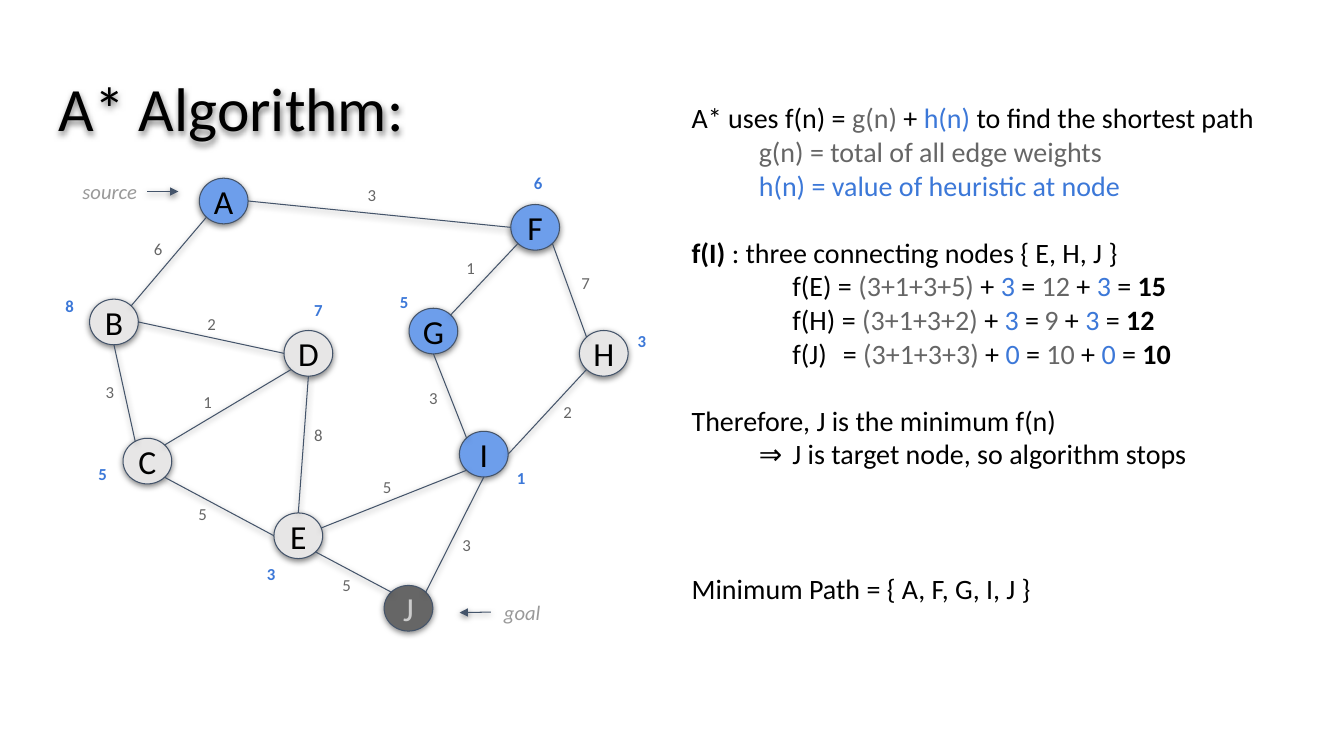
from math import cos, radians, sin

from lxml.etree import SubElement
from pptx import Presentation
from pptx.dml.color import RGBColor
from pptx.enum.shapes import MSO_CONNECTOR as Connector, MSO_SHAPE as Preset
from pptx.enum.text import MSO_ANCHOR as Anchor, MSO_AUTO_SIZE as AutoSize, PP_ALIGN as Align
from pptx.oxml.ns import qn
from pptx.util import Pt

BLACK = RGBColor(0x00, 0x00, 0x00)
GRAY = RGBColor(0x66, 0x66, 0x66)
MID_GRAY = RGBColor(0x99, 0x99, 0x99)
LIGHT_GRAY = RGBColor(0xCC, 0xCC, 0xCC)
BLUE = RGBColor(0x3C, 0x78, 0xD8)
VISITED = RGBColor(0x6D, 0x9E, 0xEB)
UNVISITED = RGBColor(0xE7, 0xE6, 0xE6)
SLATE = RGBColor(0x44, 0x54, 0x6A)
FONT = "Calibri"
NODE_WIDTH, NODE_HEIGHT = 34.8, 32.6

deck = Presentation()
deck.slide_width, deck.slide_height = Pt(960), Pt(540)
page = deck.slides.add_slide(deck.slide_layouts[1])


def add_shadow(shape):
    effects = SubElement(shape._element.spPr, qn("a:effectLst"))
    shadow = SubElement(effects, qn("a:outerShdw"), blurRad=str(Pt(4.5)),
                        dist=str(Pt(1.5)), dir="5400000", algn="ctr", rotWithShape="0")
    color = SubElement(shadow, qn("a:srgbClr"), val=str(BLACK))
    SubElement(color, qn("a:alpha"), val="50000")


def add_label(text, x, y, width, size, color, bold=False, italic=False):
    height = 22
    box = page.shapes.add_textbox(Pt(x - width / 2), Pt(y - height / 2), Pt(width), Pt(height))
    frame = box.text_frame
    frame.word_wrap = True
    frame.vertical_anchor = Anchor.MIDDLE
    frame.margin_left = frame.margin_right = frame.margin_top = frame.margin_bottom = 0
    para = frame.paragraphs[0]
    para.text = text
    para.alignment = Align.CENTER
    font = para.font
    font.name, font.size, font.bold, font.italic = FONT, Pt(size), bold, italic
    font.color.rgb = color


title = page.shapes.title
body = page.placeholders[1]
for holder, left, top, width, height in [(title, 32.4, 46.8, 894, 60.5), (body, 484.6, 62.6, 428, 412.6)]:
    holder.left, holder.top, holder.width, holder.height = Pt(left), Pt(top), Pt(width), Pt(height)
    frame = holder.text_frame
    frame.margin_left = frame.margin_right = frame.margin_top = frame.margin_bottom = Pt(9.4)
    frame.vertical_anchor = Anchor.TOP
    frame.auto_size = AutoSize.NONE
    frame.word_wrap = True

para = title.text_frame.paragraphs[0]
para.text = "A* Algorithm:"
para.alignment = Align.LEFT
para.line_spacing = 0.9
para.font.name, para.font.size = FONT, Pt(44)
para.font.color.rgb = BLACK
add_shadow(title)

# Each row: first-line indent, space before, tab stops, spans
rows = [
    (0, 0, [], [("A* uses f(n) = ", BLACK), ("g(n)", GRAY), (" + ", BLACK),
                ("h(n) ", BLUE), ("to find the shortest path", BLACK)]),
    (48, 0, [], [("g(n) = total of all edge weights", GRAY)]),
    (48, 0, [], [("h(n) = value of heuristic at node", BLUE)]),
    (0, 24, [], [("f(I)", BLACK, True), (" : three connecting nodes { E, H, J }", BLACK)]),
]
for name, tabs, weights, heuristic, cost, total in [
    ("f(E) = ", [], "(3+1+3+5)", "3", " 12", "15"),
    ("f(H) = ", [262], "(3+1+3+2)", "3", "\t9", "12"),
    ("f(J)\t= ", [105], "(3+1+3+3)", "0", " 10", "10"),
]:
    rows.append((72, 0, tabs, [
        (name, BLACK), (weights, GRAY), (" + ", BLACK), (heuristic, BLUE), (" =", BLACK),
        (cost, GRAY), (" + ", BLACK), (heuristic, BLUE), (" = ", BLACK), (total, BLACK, True)]))
rows += [
    (0, 24, [], [("Therefore, J is the minimum f(n)", BLACK)]),
    (48, 0, [74], [("⇒\tJ is target node, so algorithm stops", BLACK)]),
    (0, 72, [], [("Minimum Path = { A, F, G, I, J }", BLACK)]),
]
for number, (indent, gap, tabs, spans) in enumerate(rows):
    frame = body.text_frame
    para = frame.add_paragraph() if number else frame.paragraphs[0]
    para.space_before = Pt(gap)
    para.font.name, para.font.size = FONT, Pt(20)
    properties = para._p.get_or_add_pPr()
    properties.set("marL", "0")
    properties.set("indent", str(Pt(indent)))
    bullet = properties.makeelement(qn("a:buNone"), {})
    properties.find(qn("a:spcBef")).addnext(bullet)
    if tabs:
        stops = properties.makeelement(qn("a:tabLst"), {})
        bullet.addnext(stops)
        for stop in tabs:
            SubElement(stops, qn("a:tab"), pos=str(Pt(stop)), algn="l")
    for text, color, *bold in spans:
        span = para.add_run()
        span.text = text
        span.font.color.rgb = color
        span.font.bold = bool(bold)

centers = {
    "A": (159.8, 143.6), "B": (81.4, 230), "C": (105.3, 329.4), "D": (220.3, 252.4),
    "E": (213.1, 382.7), "F": (382.3, 162.4), "G": (309.6, 236.5), "H": (431.3, 252.4),
    "I": (345.6, 324.4), "J": (291.8, 434.5),
}
for name, (x, y) in centers.items():
    node = page.shapes.add_shape(Preset.OVAL, Pt(x - NODE_WIDTH / 2), Pt(y - NODE_HEIGHT / 2),
                                 Pt(NODE_WIDTH), Pt(NODE_HEIGHT))
    node.fill.solid()
    node.fill.fore_color.rgb = GRAY if name == "J" else VISITED if name in "AFGI" else UNVISITED
    node.line.color.rgb = SLATE
    node.line.width = Pt(0.75)
    add_shadow(node)
    frame = node.text_frame
    frame.margin_left = frame.margin_right = frame.margin_top = frame.margin_bottom = 0
    frame.vertical_anchor = Anchor.MIDDLE
    frame.word_wrap = False
    para = frame.paragraphs[0]
    para.text = name
    para.alignment = Align.CENTER
    para.font.name, para.font.size = FONT, Pt(24)
    para.font.color.rgb = LIGHT_GRAY if name == "J" else BLACK

# Each edge: node and angle at both ends, weight, label center
edges = [
    ("A", 135, "B", 315, "6", 113, 177.5), ("B", 90, "C", 240, "3", 78.5, 279.7),
    ("B", 0, "D", 180, "2", 151.2, 231.5), ("D", 135, "C", 315, "1", 148.3, 286.9),
    ("A", 0, "F", 180, "3", 265.7, 139.3), ("F", 135, "G", 315, "1", 336.2, 191.2),
    ("F", 45, "H", 225, "7", 418.3, 202), ("G", 90, "I", 225, "3", 309.6, 284),
    ("H", 135, "I", 0, "2", 405.4, 294.1), ("C", 45, "E", 180, "5", 144.7, 366.8),
    ("D", 90, "E", 270, "8", 227.5, 310.7), ("E", 340, "I", 135, "5", 276.5, 347.4),
    ("I", 90, "J", 315, "3", 333.4, 389.2), ("E", 45, "J", 225, "5", 247.7, 418),
]
lines = [(105.1, 136.8, 127.4, 136.8, True), (350.6, 437.2, 328.3, 437.6, True)]
for start, start_angle, end, end_angle, weight, x, y in edges:
    points = []
    for name, angle in [(start, start_angle), (end, end_angle)]:
        points.append(centers[name][0] + NODE_WIDTH / 2 * cos(radians(angle)))
        points.append(centers[name][1] + NODE_HEIGHT / 2 * sin(radians(angle)))
    lines.append((*points, False))
    add_label(weight, x, y, 28.8, 12, GRAY)

for x1, y1, x2, y2, arrow in lines:
    line = page.shapes.add_connector(Connector.STRAIGHT, Pt(x1), Pt(y1), Pt(x2), Pt(y2))
    line.line.color.rgb = SLATE
    line.line.width = Pt(0.75)
    if arrow:
        SubElement(line._element.spPr.find(qn("a:ln")), qn("a:tailEnd"), type="triangle")
    add_shadow(line)

for value, x, y in [
    ("6", 384.5, 130.7), ("7", 227.5, 221.4), ("5", 288.7, 215.6), ("3", 458.6, 243.7),
    ("1", 372.2, 341.6), ("3", 193.7, 410), ("8", 49.7, 218.5), ("5", 73.4, 338.8),
]:
    add_label(value, x, y, 28.8, 12, BLUE, bold=True)
add_label("source", 78.4, 136.8, 65.5, 14.7, MID_GRAY, italic=True)
add_label("goal", 373, 437.5, 59, 14.7, MID_GRAY, italic=True)

deck.save("out.pptx")
